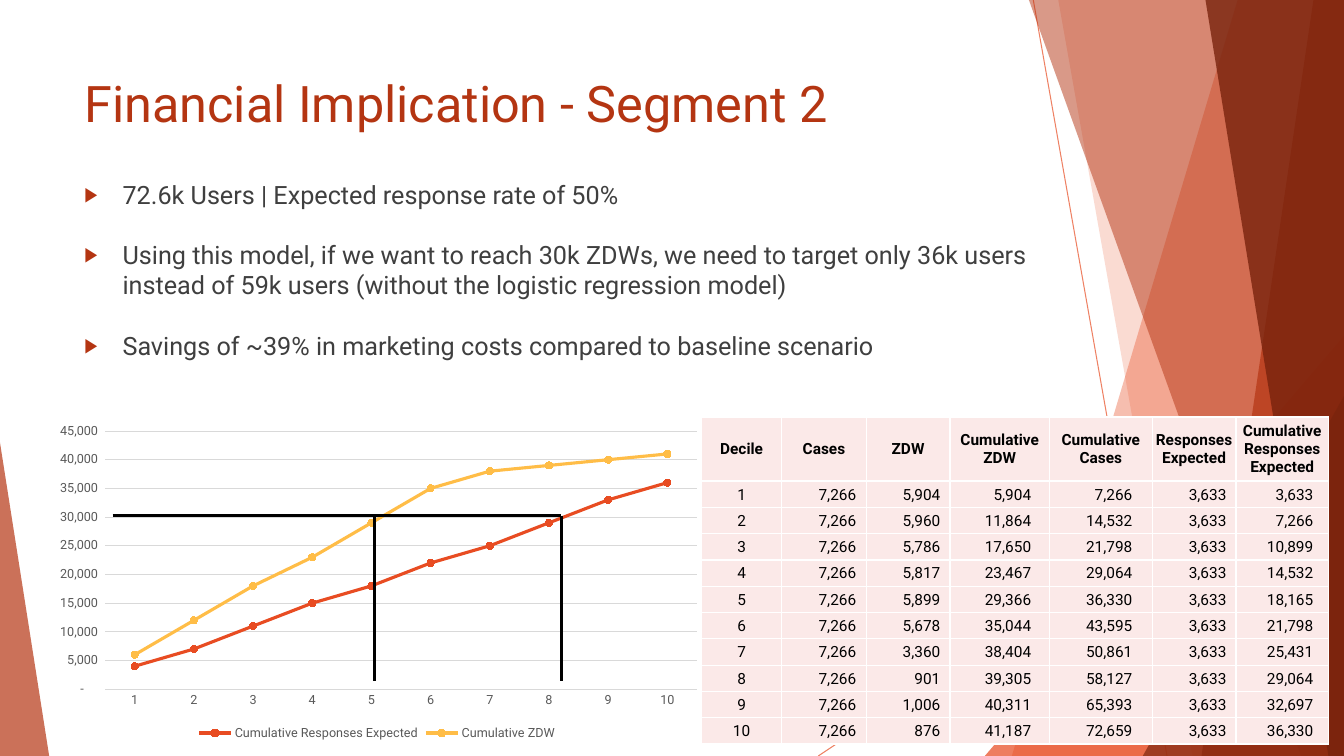
from lxml.etree import SubElement
from pptx import Presentation
from pptx.chart.data import CategoryChartData
from pptx.dml.color import RGBColor
from pptx.enum.chart import XL_CHART_TYPE, XL_LEGEND_POSITION, XL_MARKER_STYLE, XL_TICK_MARK
from pptx.enum.shapes import MSO_CONNECTOR, MSO_SHAPE
from pptx.enum.text import MSO_ANCHOR, PP_ALIGN
from pptx.oxml import parse_xml
from pptx.oxml.ns import nsdecls, qn
from pptx.util import Cm, Pt

FONT = "Roboto"
ORANGE, RUST, MAROON, AMBER = "E84C22", "B53513", "78230D", "FFBD47"
TITLE_RED, BLACK, WHITE, PINK = "B43512", "000000", "FFFFFF", "FBE9E8"
BODY_GREY, AXIS_GREY, GRID_GREY = "3F3F3F", "595959", "D9D9D9"
WIDTH, HEIGHT = 33.87, 19.05


def paint(fill, color, opacity=100):
    fill.solid()
    fill.fore_color.rgb = RGBColor.from_string(color)
    if opacity < 100:
        tint = fill._xPr.find(".//" + qn("a:srgbClr"))
        SubElement(tint, qn("a:alpha"), val=str(opacity * 1000))


def write(paragraph, text, size=18, color=BLACK, bold=False, align=PP_ALIGN.LEFT):
    paragraph.alignment = align
    run = paragraph.add_run()
    run.text = text
    run.font.name, run.font.size, run.font.bold = FONT, Pt(size), bold
    paint(run.font.fill, color)


deck = Presentation()
deck.slide_width, deck.slide_height = Cm(WIDTH), Cm(HEIGHT)
slide = deck.slides.add_slide(deck.slide_layouts[6])
shapes = slide.shapes

rays = [(26.04, 0, 29.41, HEIGHT), (WIDTH, 10.24, 20.62, HEIGHT)]
guides = [(2.84, 13, 14.15, 13), (9.44, 13, 9.44, 17.15), (14.15, 13, 14.15, 17.17)]

facets = [
    (31.19, 25.5, 0, ORANGE, 36),
    (26.67, 30.05, 0, ORANGE, 20),
    (WIDTH, 24.82, 8.46, ORANGE, 72),
    (25.93, 32.79, 0, RUST, 50),
    (33.1, 30.28, 0, RUST, 70),
    (30.38, 33.48, 0, MAROON, 80),
    (WIDTH, 28.8, 9.98, MAROON, 66),
    (0, 1.24, 11.15, RUST, 70),
]

headings = ["Decile", "Cases", "ZDW", "Cumulative ZDW", "Cumulative Cases",
            "Responses Expected", "Cumulative Responses Expected"]
deciles = [
    (1, 7266, 5904, 5904, 7266, 3633, 3633),
    (2, 7266, 5960, 11864, 14532, 3633, 7266),
    (3, 7266, 5786, 17650, 21798, 3633, 10899),
    (4, 7266, 5817, 23467, 29064, 3633, 14532),
    (5, 7266, 5899, 29366, 36330, 3633, 18165),
    (6, 7266, 5678, 35044, 43595, 3633, 21798),
    (7, 7266, 3360, 38404, 50861, 3633, 25431),
    (8, 7266, 901, 39305, 58127, 3633, 29064),
    (9, 7266, 1006, 40311, 65393, 3633, 32697),
    (10, 7266, 876, 41187, 72659, 3633, 36330),
]

strokes = []
for ray in rays:
    strokes.append((shapes.add_connector(MSO_CONNECTOR.STRAIGHT, *map(Cm, ray)), ORANGE, 0.75, 70))

for top_x, foot_x, top, color, opacity in facets:
    if top == 0:
        outline = shapes.build_freeform(Cm(top_x), Cm(0))
        corners = [(WIDTH, 0), (WIDTH, HEIGHT), (foot_x, HEIGHT)]
        outline.add_line_segments([(Cm(x), Cm(y)) for x, y in corners])
        facet = outline.convert_to_shape()
    else:
        facet = shapes.add_shape(MSO_SHAPE.ISOSCELES_TRIANGLE, Cm(min(top_x, foot_x)), Cm(top),
                                 Cm(abs(top_x - foot_x)), Cm(HEIGHT - top))
        facet.adjustments[0] = 1 if top_x > foot_x else 0
    facet.shadow.inherit = False
    facet.line.fill.background()
    paint(facet.fill, color, opacity)

response_data = CategoryChartData(number_format="#,##0")
response_data.categories = [str(row[0]) for row in deciles]
for column in (6, 3):
    response_data.add_series(headings[column], [round(row[column], -3) for row in deciles])
curves = shapes.add_chart(XL_CHART_TYPE.LINE_MARKERS, Cm(1.1), Cm(10.51),
                          Cm(16.8), Cm(8.25), response_data).chart
curves.has_title = False
curves.font.name, curves.font.size = FONT, Pt(10)
curves.has_legend = True
curves.legend.position = XL_LEGEND_POSITION.BOTTOM
curves.legend.include_in_layout = False
curves.plots[0].vary_by_categories = False
for series, color in zip(curves.plots[0].series, (ORANGE, AMBER)):
    series.smooth = False
    series.format.line.width = Pt(2.25)
    series.marker.style, series.marker.size = XL_MARKER_STYLE.CIRCLE, 5
    for fill in (series.format.line.fill, series.marker.format.fill, series.marker.format.line.fill):
        paint(fill, color)

decile_axis, count_axis = curves.category_axis, curves.value_axis
for axis in (decile_axis, count_axis):
    axis.major_tick_mark = axis.minor_tick_mark = XL_TICK_MARK.NONE
for font in (decile_axis.tick_labels.font, count_axis.tick_labels.font, curves.legend.font):
    font.name, font.size = FONT, Pt(9)
    paint(font.fill, AXIS_GREY)
for line in (decile_axis.format.line, count_axis.major_gridlines.format.line):
    line.width = Pt(0.75)
    paint(line.fill, GRID_GREY)
count_axis.format.line.fill.background()
count_axis.tick_labels.number_format = '_(* #,##0_);_(* \\(#,##0\\);_(* "-"??_);_('
count_axis.tick_labels.number_format_is_linked = False

title = shapes.add_textbox(Cm(1.88), Cm(1.7), Cm(24.77), Cm(3.66)).text_frame
title.word_wrap = True
write(title.paragraphs[0], "Financial Implication - Segment 2", size=36, color=TITLE_RED)

findings = shapes.add_textbox(Cm(1.88), Cm(4.39), Cm(25.35), Cm(13.41)).text_frame
findings.word_wrap = True
for index, finding in enumerate([
    "72.6k Users | Expected response rate of 50%",
    "Using this model, if we want to reach 30k ZDWs, we need to target only 36k users "
    "instead of 59k users (without the logistic regression model)",
    "Savings of ~39% in marketing costs compared to baseline scenario",
]):
    paragraph = findings.add_paragraph() if index else findings.paragraphs[0]
    paragraph.space_before = Pt(21.5 if index else 0)
    write(paragraph, finding, color=BODY_GREY)
    properties = paragraph._p.get_or_add_pPr()
    properties.set("marL", str(Cm(0.96)))
    properties.set("indent", str(-Cm(0.96)))
    bullet_color = SubElement(properties, qn("a:buClr"))
    SubElement(bullet_color, qn("a:srgbClr"), val=TITLE_RED)
    SubElement(properties, qn("a:buSzPct"), val="80000")
    SubElement(properties, qn("a:buFont"), typeface="Arial")
    SubElement(properties, qn("a:buChar"), char="▶")

for guide in guides:
    strokes.append((shapes.add_connector(MSO_CONNECTOR.STRAIGHT, *map(Cm, guide)), BLACK, 2.25, 100))
for stroke, color, weight, opacity in strokes:
    stroke.line.width = Pt(weight)
    paint(stroke.line.fill, color, opacity)
    SubElement(stroke._element.spPr, qn("a:effectLst"))

table_height, heading_height = 8.25, 1.61
decile_table = shapes.add_table(len(deciles) + 1, len(headings), Cm(17.68), Cm(10.51),
                                Cm(15.8), Cm(table_height)).table
decile_table.first_row = decile_table.horz_banding = False
for column, width in zip(decile_table.columns, (2.02, 2.13, 2.11, 2.51, 2.59, 2.11, 2.33)):
    column.width = Cm(width)
for index, row in enumerate(decile_table.rows):
    row.height = Cm((table_height - heading_height) / len(deciles) if index else heading_height)

number_insets = (0.03, 0.25, 0.24, 0.46, 0.5, 0.24, 0.38)
for r, values in enumerate([headings] + deciles):
    for c, value in enumerate(values):
        cell = decile_table.cell(r, c)
        is_number = r > 0 and c > 0
        cell.vertical_anchor = MSO_ANCHOR.MIDDLE
        cell.margin_left = cell.margin_top = Cm(0.03)
        cell.margin_right = Cm(number_insets[c] if is_number else 0.03)
        cell.margin_bottom = Cm(0)
        paint(cell.fill, PINK)
        write(cell.text_frame.paragraphs[0], f"{value:,}" if r else value, size=11, bold=r == 0,
              align=PP_ALIGN.RIGHT if is_number else PP_ALIGN.CENTER)
        for position, side in enumerate("LRTB"):
            cell._tc.get_or_add_tcPr().insert(position, parse_xml(
                f'<a:ln{side} {nsdecls("a")} w="12700"><a:solidFill>'
                f'<a:srgbClr val="{WHITE}"/></a:solidFill></a:ln{side}>'))

deck.save("out.pptx")
